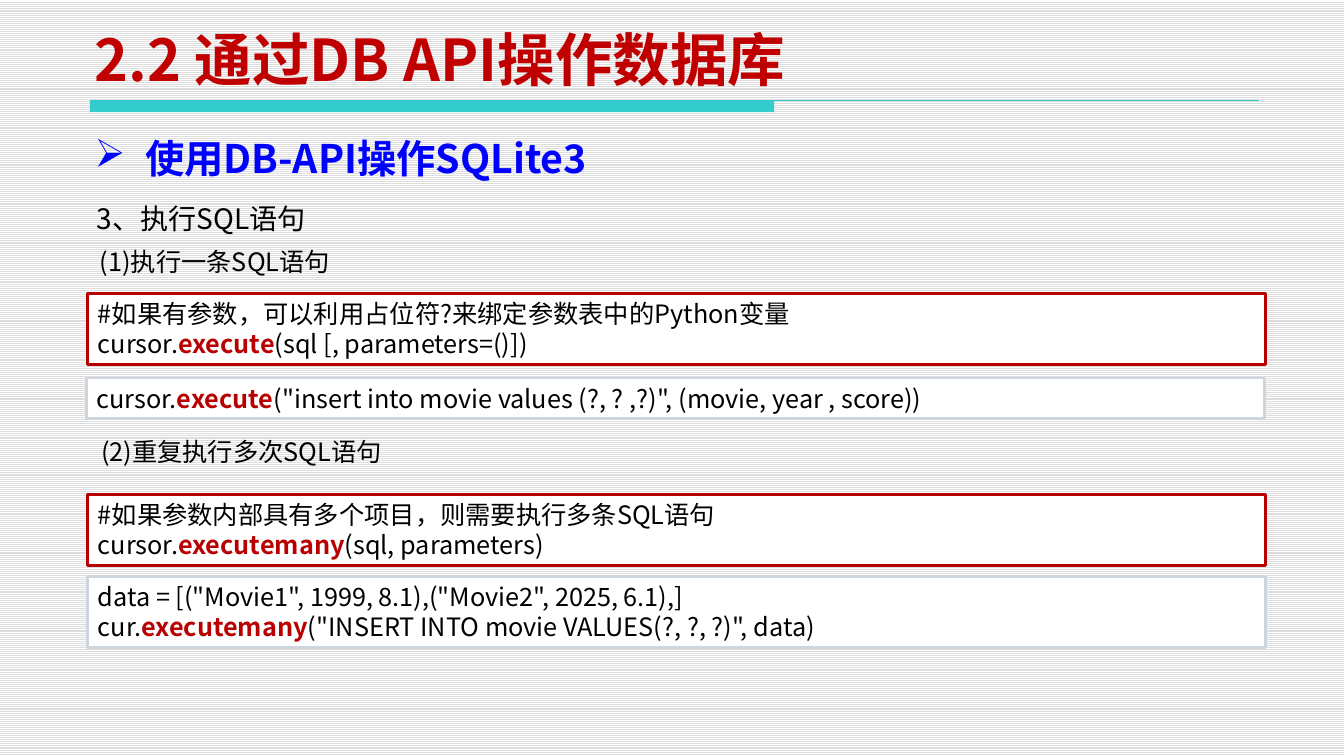
from lxml.etree import SubElement
from pptx import Presentation
from pptx.dml.color import RGBColor
from pptx.enum.dml import MSO_PATTERN
from pptx.enum.shapes import MSO_CONNECTOR, MSO_SHAPE
from pptx.enum.text import MSO_ANCHOR, MSO_AUTO_SIZE, PP_ALIGN
from pptx.oxml.ns import qn
from pptx.util import Cm, Pt

FONT = "Noto Sans CJK SC"
BLACK, RED, TEAL, GREY = "000000", "B90000", "33CCCC", "CED5DD"
rgb = RGBColor.from_string


def write_run(paragraph, text, size, color=BLACK, bold=False):
    run = paragraph.add_run()
    run.text = text
    run.font.size = Pt(size)
    run.font.bold = bold
    run.font.color.rgb = rgb(color)
    run.font.name = FONT
    SubElement(run.font._element, qn("a:ea"), typeface=FONT)


def prepare(frame, anchor=MSO_ANCHOR.TOP):
    frame.word_wrap = True
    frame.auto_size = MSO_AUTO_SIZE.NONE
    frame.vertical_anchor = anchor
    paragraph = frame.paragraphs[0]
    paragraph.alignment = PP_ALIGN.LEFT
    return paragraph


deck = Presentation()
deck.slide_width, deck.slide_height = Cm(33.78), Cm(19)
slide = deck.slides.add_slide(deck.slide_layouts[5])
shapes = slide.shapes

background = slide.background.fill
background.patterned()
background.pattern = MSO_PATTERN.LIGHT_HORIZONTAL
background.fore_color.rgb = rgb("DDDDDD")
background.back_color.rgb = rgb("FFFFFF")

title = shapes.title
title.left, title.top, title.width, title.height = Cm(2.13), Cm(0.71), Cm(23.55), Cm(1.75)
write_run(prepare(title.text_frame, MSO_ANCHOR.BOTTOM), "2.2 通过DB API操作数据库", 41, "C00000", True)

title_bar = shapes.add_shape(MSO_SHAPE.RECTANGLE, Cm(2.26), Cm(2.52), Cm(17.2), Cm(0.3))
title_bar.shadow.inherit = False
title_bar.fill.solid()
title_bar.fill.fore_color.rgb = rgb(TEAL)
title_bar.line.fill.background()

title_rule = shapes.add_connector(MSO_CONNECTOR.STRAIGHT, Cm(2.26), Cm(2.52), Cm(31.65), Cm(2.52))
title_rule.line.color.rgb = rgb(TEAL)
title_rule.line.width = Pt(0.75)
SubElement(title_rule._element.spPr, qn("a:effectLst"))

topic = shapes.add_textbox(Cm(2.13), Cm(3.25), Cm(21.6), Cm(1.47))
topic_line = prepare(topic.text_frame)
topic_line.space_before = Pt(18)
topic_format = topic_line._p.get_or_add_pPr()
topic_format.set("marL", str(Cm(1.27)))
topic_format.set("indent", str(Cm(-1.27)))
SubElement(topic_format, qn("a:buChar"), char="➢")
write_run(topic_line, "使用DB-API操作SQLite3", 28, "0000FF", True)

headings = [
    (2.18, 4.52, 1.35, 20, 1.5, "3、执行SQL语句"),
    (2.26, 6.07, 1.02, 18, 1.0, "(1)执行一条SQL语句"),
    (2.29, 10.85, 1.02, 18, 1.0, "(2)重复执行多次SQL语句"),
]
for left, top, height, size, spacing, text in headings:
    heading = shapes.add_textbox(Cm(left), Cm(top), Cm(16.9), Cm(height))
    heading_line = prepare(heading.text_frame)
    heading_line.line_spacing = spacing
    write_run(heading_line, text, size)

code_boxes = [
    (2.21, 7.37, 1.8, RED, "#如果有参数，可以利用占位符?来绑定参数表中的Python变量",
     "cursor.", "execute", "(sql [, parameters=()])"),
    (2.18, 9.5, 1.02, GREY, None,
     "cursor.", "execute", '("insert into movie values (?, ? ,?)", (movie, year , score))'),
    (2.21, 12.42, 1.8, RED, "#如果参数内部具有多个项目，则需要执行多条SQL语句",
     "cursor.", "executemany", "(sql, parameters)"),
    (2.21, 14.48, 1.8, GREY, 'data = [("Movie1", 1999, 8.1),("Movie2", 2025, 6.1),]',
     "cur.", "executemany", '("INSERT INTO movie VALUES(?, ?, ?)", data)'),
]
for left, top, height, border, first_line, owner, method, arguments in code_boxes:
    code_box = shapes.add_shape(MSO_SHAPE.RECTANGLE, Cm(left), Cm(top), Cm(29.6), Cm(height))
    code_box.shadow.inherit = False
    code_box.fill.solid()
    code_box.fill.fore_color.rgb = rgb("FFFFFF")
    code_box.line.color.rgb = rgb(border)
    code_box.line.width = Pt(2)
    call = prepare(code_box.text_frame)
    if first_line:
        write_run(call, first_line, 18)
        call = code_box.text_frame.add_paragraph()
        call.alignment = PP_ALIGN.LEFT
    write_run(call, owner, 18)
    write_run(call, method, 18, RED, True)
    write_run(call, arguments, 18)

deck.save("out.pptx")
